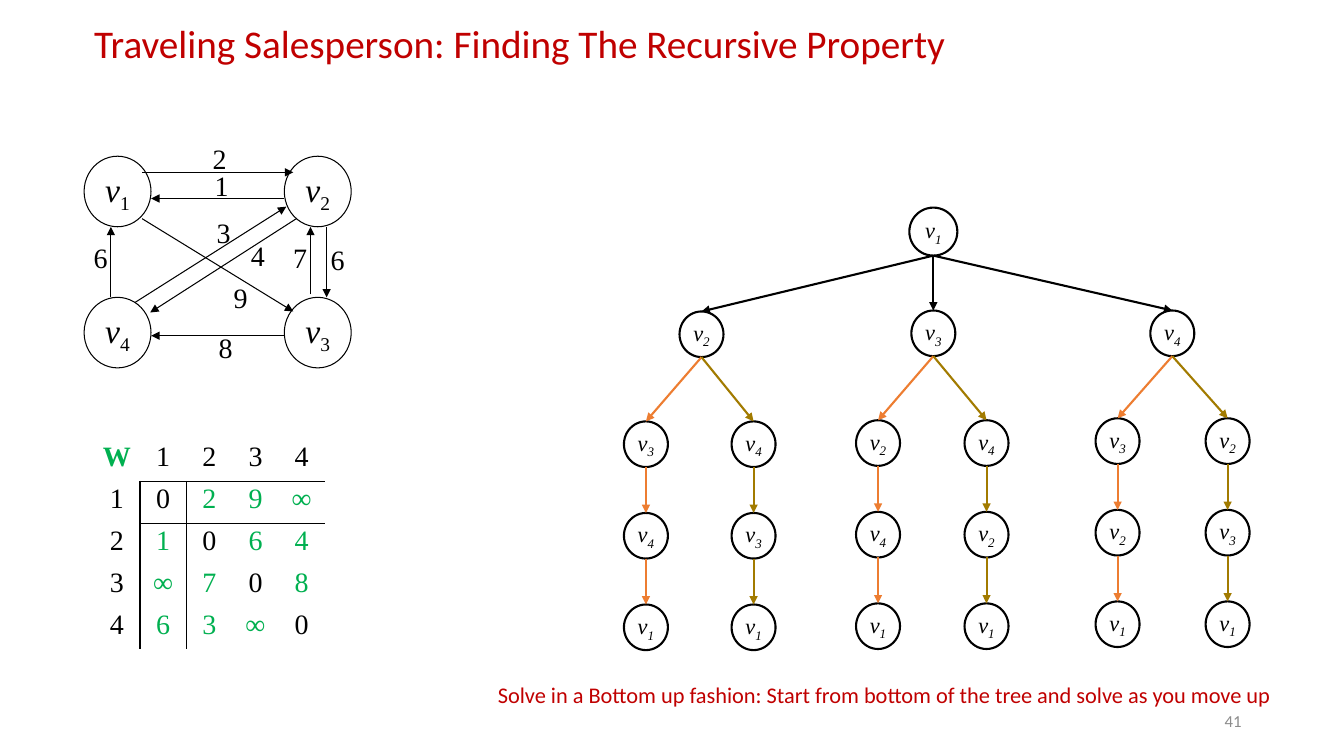
import dataclasses

import lxml.etree
import pptx
import pptx.dml.color
import pptx.enum.shapes
import pptx.enum.text
import pptx.oxml.ns
import pptx.util

Pt = pptx.util.Pt
RGB = pptx.dml.color.RGBColor.from_string
ALIGN = pptx.enum.text.PP_ALIGN
ANCHOR = pptx.enum.text.MSO_ANCHOR
qn = pptx.oxml.ns.qn


@dataclasses.dataclass(frozen=True)
class Theme:
    black = RGB("000000")
    white = RGB("FFFFFF")
    red = RGB("C00000")
    green = RGB("00B050")
    orange = RGB("ED7D31")
    olive = RGB("A27B00")
    grey = RGB("8C8C8C")
    sans = "Calibri"
    serif = "Times New Roman"
    title_size = Pt(28)
    graph_size = Pt(24)
    weight_size = Pt(20)
    body_size = Pt(16)
    number_size = Pt(12)
    thin = Pt(0.75)
    thick = Pt(1.5)


theme = Theme()

presentation = pptx.Presentation()
presentation.slide_width = Pt(960)
presentation.slide_height = Pt(540)
slide = presentation.slides.add_slide(presentation.slide_layouts[5])


def style_paragraph(paragraph, text, size, font, colour, alignment=ALIGN.LEFT):
    paragraph.text = text
    paragraph.alignment = alignment
    paragraph.font.size = size
    paragraph.font.name = font
    paragraph.font.color.rgb = colour


def add_arrow(start, end, colour, width):
    connector = slide.shapes.add_connector(
        pptx.enum.shapes.MSO_CONNECTOR.STRAIGHT, *(Pt(value) for value in (*start, *end)))
    connector.line.color.rgb = colour
    connector.line.width = width
    lxml.etree.SubElement(connector.line._get_or_add_ln(), qn("a:tailEnd"), type="triangle")
    lxml.etree.SubElement(connector._element.spPr, qn("a:effectLst"))


# Title
title = slide.shapes.title
title.left, title.top, title.width, title.height = Pt(60), Pt(0), Pt(793), Pt(66)
title.text_frame.auto_size = pptx.enum.text.MSO_AUTO_SIZE.NONE
title.text_frame.vertical_anchor = ANCHOR.MIDDLE
title_paragraph = title.text_frame.paragraphs[0]
style_paragraph(title_paragraph, "Traveling Salesperson: Finding The Recursive Property",
                theme.title_size, theme.sans, theme.red)
title_paragraph.line_spacing = 0.9

# Graph: nodes as (centre x, top, width, height, vertex), arrows as (start, end)
graph_nodes = [(84, 111.6, 47.8, 50.4, 1), (227, 111.6, 47.8, 50.4, 2),
               (227, 212.4, 47.8, 50.4, 3), (84, 212.4, 47.8, 50.4, 4)]
graph_arrows = [
    ((101.5, 123.1), (209.5, 123.1)), ((203, 141.8), (108, 141.8)),
    ((96.5, 216), (204.5, 147.6)), ((211.7, 156.2), (107.3, 223.2)),
    ((101.5, 156.2), (209.5, 222.5)), ((79.2, 212.4), (79.2, 162)),
    ((221.8, 210.2), (221.8, 162)), ((233.3, 162), (233.3, 212.4)),
    ((203, 239.8), (108, 239.8)),
]

# Tree: each branch has its vertex, centre x, top, chain top and two chains below it
root_x, root_top, root_size = 666.7, 148.3, 34.3
node_width, node_height, chain_pitch = 31.4, 32.6, 65.4
branches = [
    (2, 501.1, 222.5, 301, ((461.4, (3, 4, 1)), (538.3, (4, 3, 1)))),
    (3, 666.7, 221.8, 300.2, ((627.2, (2, 4, 1)), (704.7, (4, 2, 1)))),
    (4, 837.4, 221.8, 298.8, ((798.3, (3, 2, 1)), (876.9, (2, 3, 1)))),
]
tree_nodes = [(root_x, root_top, root_size, root_size, 1)]
tree_arrows = []
for vertex, branch_x, branch_top, chain_top, chains in branches:
    tree_nodes.append((branch_x, branch_top, node_width, node_height, vertex))
    tree_arrows.append(((root_x, root_top + root_size), (branch_x, branch_top), theme.black))
    for (chain_x, chain), colour in zip(chains, (theme.orange, theme.olive)):
        previous = (branch_x, branch_top + node_height)
        for level, chain_vertex in enumerate(chain):
            top = chain_top + level * chain_pitch
            tree_nodes.append((chain_x, top, node_width, node_height, chain_vertex))
            tree_arrows.append((previous, (chain_x, top), colour))
            previous = (chain_x, top + node_height)

for nodes, size, line_width, italic_index in (
        (graph_nodes, theme.graph_size, theme.thin, False),
        (tree_nodes, theme.body_size, theme.thick, True)):
    for centre_x, top, width, height, vertex in nodes:
        node = slide.shapes.add_shape(pptx.enum.shapes.MSO_SHAPE.OVAL, Pt(centre_x - width / 2),
                                      Pt(top), Pt(width), Pt(height))
        node.shadow.inherit = False
        node.fill.solid()
        node.fill.fore_color.rgb = theme.white
        node.line.color.rgb = theme.black
        node.line.width = line_width
        frame = node.text_frame
        frame.word_wrap = False
        frame.vertical_anchor = ANCHOR.MIDDLE
        frame.margin_left = frame.margin_right = frame.margin_top = frame.margin_bottom = 0
        paragraph = frame.paragraphs[0]
        style_paragraph(paragraph, "v", size, theme.serif, theme.black, ALIGN.CENTER)
        paragraph.runs[0].font.italic = True
        index = paragraph.add_run()
        index.text = str(vertex)
        index.font.italic = italic_index
        index.font._element.set("baseline", "-25000")

for start, end in graph_arrows:
    add_arrow(start, end, theme.black, theme.thin)
for start, end, colour in tree_arrows:
    add_arrow(start, end, colour, theme.thick)

# Edge weights
for weight, left, top in (
        (2, 144.7, 97.2), (1, 146.2, 116.6), (3, 147.6, 150.5), (4, 172.1, 167),
        (9, 159.8, 196.6), (6, 59.8, 168.5), (7, 202.3, 168.5), (6, 229, 170), (8, 149, 232.6)):
    label = slide.shapes.add_textbox(Pt(left), Pt(top), Pt(32), Pt(32))
    label.text_frame.word_wrap = True
    style_paragraph(label.text_frame.paragraphs[0], str(weight), theme.weight_size,
                    theme.serif, theme.black)

# Weight matrix
matrix = ["W1234", "1029∞", "21064", "3∞708", "463∞0"]
table = slide.shapes.add_table(5, 5, Pt(67), Pt(313.9), Pt(165), Pt(150)).table
table.first_row = table.horz_banding = False
table._tbl.tblPr.find(qn("a:tableStyleId")).text = "{2D5ABB26-0587-4C30-8999-92F81FD0307C}"
for row, entries in enumerate(matrix):
    table.rows[row].height = Pt(30)
    table.columns[row].width = Pt(33)
    for column, entry in enumerate(entries):
        cell = table.cell(row, column)
        cell.fill.background()
        cell.margin_left = cell.margin_right = Pt(2.9)
        cell.margin_top = cell.margin_bottom = Pt(1.4)
        is_header = row == 0 or column == 0
        is_black = row == column if not is_header else entry != "W"
        paragraph = cell.text_frame.paragraphs[0]
        style_paragraph(paragraph, entry, theme.weight_size, theme.serif,
                        theme.black if is_black else theme.green, ALIGN.CENTER)
        paragraph.font.bold = entry == "W"
        borders = [("a:lnL", column == 1 and row > 0), ("a:lnR", column == 0 and row > 0),
                   ("a:lnT", row == 1 and column > 0), ("a:lnB", row == 0 and column > 0)]
        shown = [tag for tag, visible in borders if visible]
        for position, tag in enumerate(shown):
            border = lxml.etree.Element(qn(tag), w=str(Pt(1)))
            fill = lxml.etree.SubElement(border, qn("a:solidFill"))
            lxml.etree.SubElement(fill, qn("a:srgbClr"), val=str(theme.black))
            cell._tc.get_or_add_tcPr().insert(position, border)

# Note and slide number
note = slide.shapes.add_textbox(Pt(348.5), Pt(486.7), Pt(588), Pt(23))
note.text_frame.word_wrap = True
note_paragraph = note.text_frame.paragraphs[0]
style_paragraph(
    note_paragraph,
    "Solve in a Bottom up fashion: Start from bottom of the tree and solve as you move up",
    theme.body_size, theme.sans, theme.red)
note_paragraph.line_spacing = 0.8

number = slide.shapes.add_textbox(Pt(678), Pt(500.4), Pt(216), Pt(28.8))
number.text_frame.word_wrap = True
number.text_frame.vertical_anchor = ANCHOR.MIDDLE
style_paragraph(number.text_frame.paragraphs[0], "41", theme.number_size, theme.sans,
                theme.grey, ALIGN.RIGHT)

presentation.save("out.pptx")
